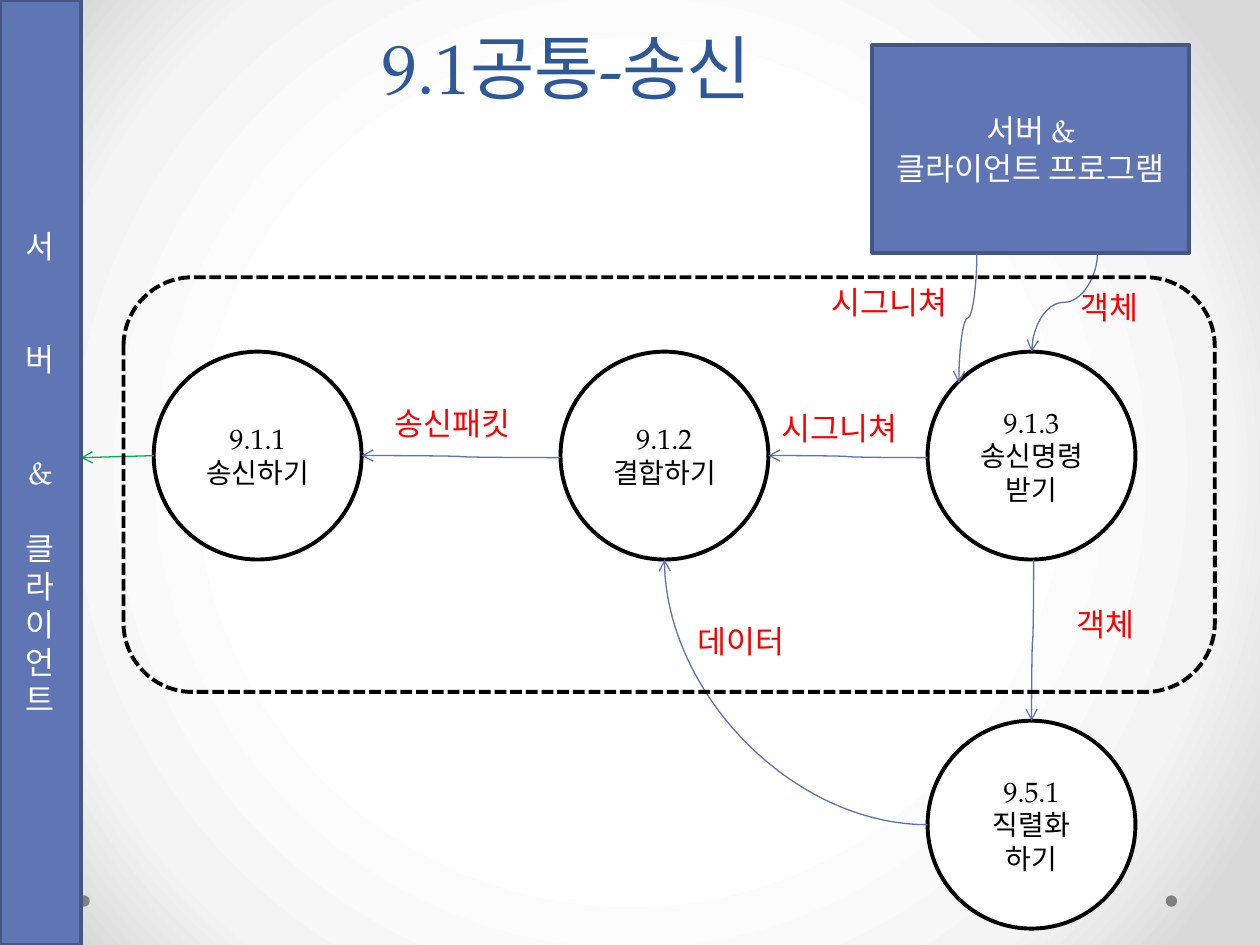
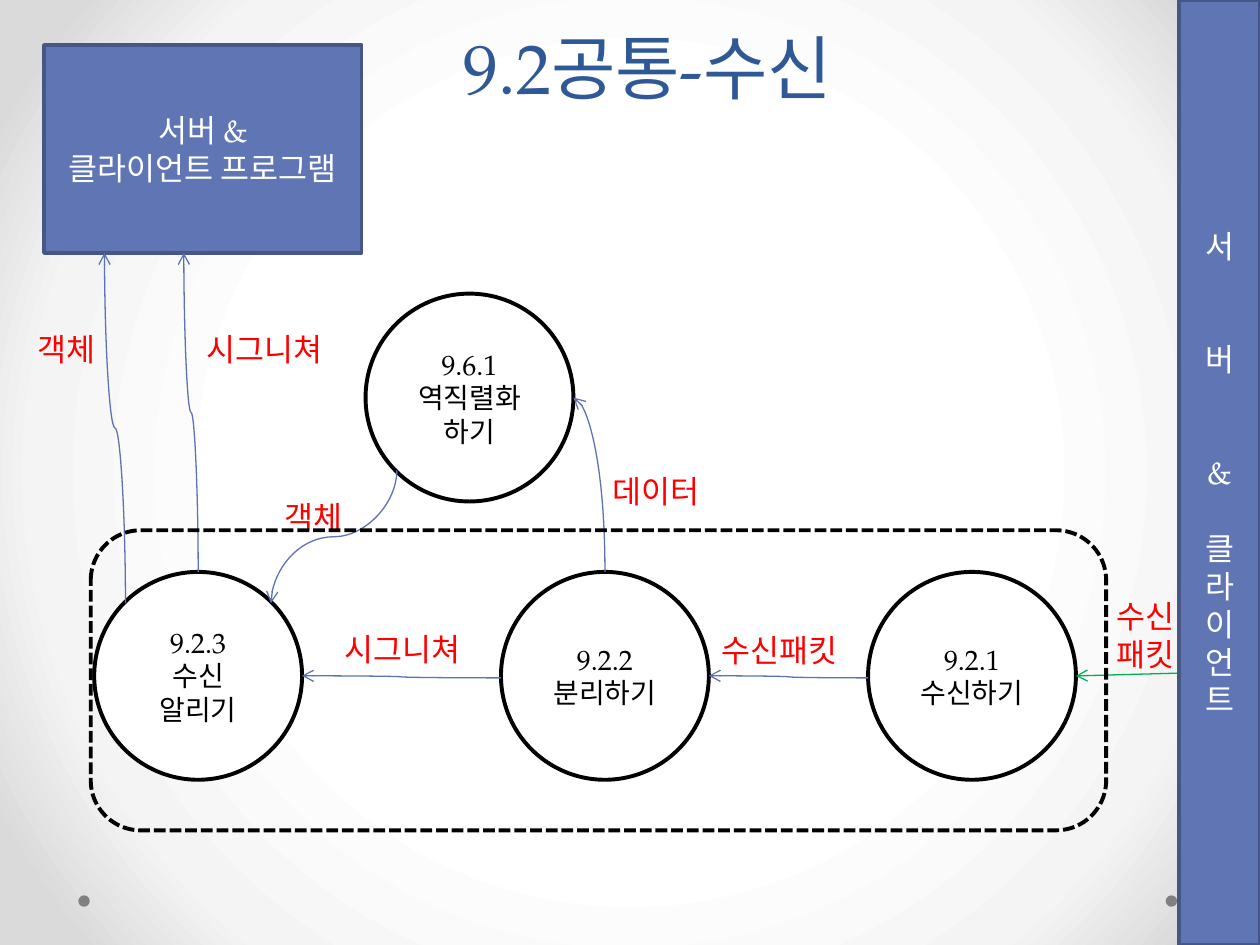
from dataclasses import dataclass

from pptx import Presentation
from pptx.dml.color import RGBColor
from pptx.enum.dml import MSO_LINE
from pptx.enum.shapes import MSO_CONNECTOR, MSO_SHAPE
from pptx.enum.text import MSO_ANCHOR, MSO_AUTO_SIZE, PP_ALIGN
from pptx.oxml import parse_xml
from pptx.oxml.ns import nsdecls, qn
from pptx.util import Cm, Pt

FONT = "TeX Gyre Pagella"
BLACK = RGBColor(0x00, 0x00, 0x00)
WHITE = RGBColor(0xFF, 0xFF, 0xFF)
RED = RGBColor(0xFF, 0x00, 0x00)
GREEN = RGBColor(0x00, 0xB0, 0x50)
GREY = RGBColor(0x80, 0x80, 0x80)
TITLE_BLUE = RGBColor(0x2F, 0x58, 0x97)
PANEL_BLUE = RGBColor(0x60, 0x76, 0xB4)
EDGE_BLUE = RGBColor(0x47, 0x57, 0x85)
FLOW_BLUE = RGBColor(0x5C, 0x72, 0xB2)
BACKDROP = ((50, WHITE), (76, RGBColor(0xF4, 0xF4, 0xF4)), (92, RGBColor(0xDA, 0xDA, 0xDA)))

STEP_SIZE = 4.19
STEP_OFFSETS = (0, 8.2, 15.6)
BAND_WIDTH = 1.63
BAND_TEXT = ("서", "버", "&", "클", "라", "이", "언", "트")
BAND_GAPS = {1: 43, 2: 43, 3: 22}
PROGRAM_TEXT = ("서버 &", "클라이언트 프로그램")


@dataclass
class Box:
    left: float
    top: float
    width: float
    height: float

    def at(self, across, down):
        return self.left + across * self.width, self.top + down * self.height

    def emu(self):
        return Cm(self.left), Cm(self.top), Cm(self.width), Cm(self.height)


PAGE = Box(0, 0, 25.4, 19.05)


def write(frame, lines, size=18, color=BLACK, align=PP_ALIGN.CENTER,
          anchor=MSO_ANCHOR.MIDDLE, inset=None, spacing=None, gaps=None):
    frame.word_wrap = True
    frame.vertical_anchor = anchor
    if inset is not None:
        frame.margin_left = frame.margin_right = Cm(inset)
        frame.margin_top = frame.margin_bottom = Cm(inset)
    for index, line in enumerate(lines):
        paragraph = frame.add_paragraph() if index else frame.paragraphs[0]
        paragraph.alignment = align
        if spacing:
            paragraph.line_spacing = Pt(spacing)
        if gaps and index in gaps:
            paragraph.space_before = Pt(gaps[index])
        run = paragraph.add_run()
        run.text = line
        run.font.name = FONT
        run.font.size = Pt(size)
        run.font.color.rgb = color


def draw(slide, kind, box, fill=None, edge=None):
    shape = slide.shapes.add_shape(kind, *box.emu())
    shape.shadow.inherit = False
    if fill is None:
        shape.fill.background()
    else:
        shape.fill.solid()
        shape.fill.fore_color.rgb = fill
    if edge is None:
        shape.line.fill.background()
    else:
        shape.line.color.rgb = edge
        shape.line.width = Pt(2.25)
    return shape


def step(slide, left, top, lines):
    box = Box(left, top, STEP_SIZE, STEP_SIZE)
    circle = draw(slide, MSO_SHAPE.OVAL, box, WHITE, BLACK)
    write(circle.text_frame, lines, size=16, inset=0.1)
    return box


def label(slide, left, top, width, *lines):
    note = slide.shapes.add_textbox(*Box(left, top, width, 1.02 * len(lines)).emu())
    write(note.text_frame, lines, color=RED, align=PP_ALIGN.LEFT, anchor=MSO_ANCHOR.TOP)
    note.text_frame.auto_size = MSO_AUTO_SIZE.SHAPE_TO_FIT_TEXT


def flow(slide, start, end, color=FLOW_BLUE, kind=MSO_CONNECTOR.CURVE,
         vertical=False, quarter=False):
    (x1, y1), (x2, y2) = start, end
    turn = 0
    if vertical:
        across, down = x2 - x1, y2 - y1
        middle_x, middle_y = (x1 + x2) / 2, (y1 + y2) / 2
        half_long = abs(down) / 2
        half_short = abs(across) / 2 * (-1 if across * down > 0 else 1)
        x1, x2 = middle_x - half_long, middle_x + half_long
        y1, y2 = middle_y - half_short, middle_y + half_short
        turn = 90 if down > 0 else 270
    arrow = slide.shapes.add_connector(kind, Cm(x1), Cm(y1), Cm(x2), Cm(y2))
    arrow.line.color.rgb = color
    arrow.line.width = Pt(0.75)
    properties = arrow.element.spPr
    if turn:
        properties.find(qn("a:xfrm")).set("rot", str(turn * 60000))
    if quarter:
        properties.find(qn("a:prstGeom")).set("prst", "curvedConnector2")
    properties.find(qn("a:ln")).append(
        parse_xml(f'<a:tailEnd {nsdecls("a")} type="arrow"/>'))
    properties.append(parse_xml(f'<a:effectLst {nsdecls("a")}/>'))


def lane(slide, left, top, steps, near_label, far_label):
    boxes = [step(slide, left + offset, top, lines)
             for offset, lines in zip(STEP_OFFSETS, steps)]
    for target, source in zip(boxes, boxes[1:]):
        flow(slide, source.at(0, 0.51), target.at(1, 0.5))
    for across, down, width, text in (near_label, far_label):
        label(slide, left + across, top + down, width, text)
    return boxes


def program(slide, left):
    box = Box(left, 0.91, 6.4, STEP_SIZE)
    panel = draw(slide, MSO_SHAPE.RECTANGLE, box, PANEL_BLUE, EDGE_BLUE)
    write(panel.text_frame, PROGRAM_TEXT, color=WHITE)
    return box


def boundary(slide, box):
    frame = draw(slide, MSO_SHAPE.ROUNDED_RECTANGLE, box, edge=BLACK)
    frame.line.dash_style = MSO_LINE.SQUARE_DOT


def band(slide, left):
    box = Box(left, 0, BAND_WIDTH, PAGE.height)
    strip = draw(slide, MSO_SHAPE.RECTANGLE, box, PANEL_BLUE, EDGE_BLUE)
    write(strip.text_frame, BAND_TEXT, color=WHITE, gaps=BAND_GAPS)
    return box


def titled_slide(deck, layout, title, left):
    slide = deck.slides.add_slide(layout)
    heading = slide.shapes.title
    heading.left, heading.top, heading.width, heading.height = Box(left, 0, 22.86, 2.32).emu()
    write(heading.text_frame, [title], size=40, color=TITLE_BLUE,
          anchor=MSO_ANCHOR.BOTTOM, spacing=58)
    return slide


def sending(slide, page):
    send, join, receive = lane(
        slide, page.left + 3.1, page.top + 7.09,
        (("9.1.1", "송신하기"), ("9.1.2", "결합하기"), ("9.1.3", "송신명령", "받기")),
        (12.4, 1.04, 3.81, "시그니쳐"), (4.6, 0.94, 3.81, "송신패킷"))
    serialize = step(slide, receive.left, page.top + 14.53, ("9.5.1", "직렬화", "하기"))
    flow(slide, receive.at(0.51, 1), serialize.at(0.5, 0), vertical=True)
    flow(slide, serialize.at(0, 0.5), join.at(0.5, 1), quarter=True)
    source = program(slide, page.left + 17.58)
    flow(slide, source.at(0.33, 1), receive.at(0.15, 0.15), vertical=True)
    flow(slide, source.at(0.71, 1), receive.at(0.5, 0), vertical=True)
    for left, top, width, text in ((13.82, 12.42, 2.69, "데이터"),
                                   (16.51, 5.59, 3.81, "시그니쳐"),
                                   (21.54, 5.69, 2.16, "객체"),
                                   (21.46, 12.07, 2.16, "객체")):
        label(slide, page.left + left, page.top + top, width, text)
    flow(slide, send.at(0, 0.5), (page.left + BAND_WIDTH, send.at(0, 0.51)[1]),
         color=GREEN, kind=MSO_CONNECTOR.STRAIGHT)
    boundary(slide, Box(page.left + 2.49, page.top + 5.59, 22, 8.36))
    band(slide, page.left)


def receiving(slide, page):
    notify, split, receive = lane(
        slide, page.left + 1.9, page.top + 11.53,
        (("9.2.3", "수신", "알리기"), ("9.2.2", "분리하기"), ("9.2.1", "수신하기")),
        (12.4, 1.07, 3.81, "수신패킷"), (4.8, 1.04, 3.3, "시그니쳐"))
    flow(slide, page.at(1, 0.71), receive.at(1, 0.5), color=GREEN, kind=MSO_CONNECTOR.STRAIGHT)
    restore = step(slide, page.left + 7.37, page.top + 5.92, ("9.6.1", "역직렬화", "하기"))
    flow(slide, split.at(0.5, 0), restore.at(1, 0.5), vertical=True, quarter=True)
    flow(slide, restore.at(0.15, 0.85), notify.at(0.85, 0.15), vertical=True)
    target = program(slide, page.left + 0.89)
    flow(slide, notify.at(0.15, 0.15), target.at(0.19, 1), vertical=True)
    flow(slide, notify.at(0.5, 0), target.at(0.44, 1), vertical=True)
    for left, top, width, text in ((12.09, 9.4, 2.69, "데이터"),
                                   (5.49, 9.91, 1.96, "객체"),
                                   (0.51, 6.53, 1.96, "객체"),
                                   (3.91, 6.53, 3.3, "시그니쳐")):
        label(slide, page.left + left, page.top + top, width, text)
    boundary(slide, Box(page.left + 1.83, page.top + 10.69, 20.47, 6.05))
    band(slide, page.left + page.width - BAND_WIDTH)
    label(slide, page.left + 22.25, page.top + 11.91, 3, "수신", "패킷")


def paint_backdrop(master):
    master.background.fill.gradient()
    plain = master.element.find(".//" + qn("a:gradFill"))
    stops = "".join(f'<a:gs pos="{place * 1000}"><a:srgbClr val="{color}"/></a:gs>'
                    for place, color in BACKDROP)
    radial = parse_xml(
        f'<a:gradFill {nsdecls("a")} rotWithShape="1"><a:gsLst>{stops}</a:gsLst>'
        '<a:path path="circle"><a:fillToRect l="50000" t="50000" r="50000" b="50000"/>'
        '</a:path></a:gradFill>')
    plain.getparent().replace(plain, radial)


def add_layout_dots(slide, layout):
    for left in (23.5, 1.58):
        dot = draw(slide, MSO_SHAPE.OVAL, Box(left, 18.05, 0.23, 0.23), GREY)
        layout.shapes.element.append(dot.element)


def main():
    deck = Presentation()
    deck.slide_width, deck.slide_height = Cm(PAGE.width), Cm(PAGE.height)
    layout = deck.slide_layouts[5]
    paint_backdrop(deck.slide_master)
    send_slide = titled_slide(deck, layout, "9.1공통-송신", 0)
    add_layout_dots(send_slide, layout)
    sending(send_slide, PAGE)
    receiving(titled_slide(deck, layout, "9.2공통-수신", BAND_WIDTH), PAGE)
    deck.save("out.pptx")


main()
